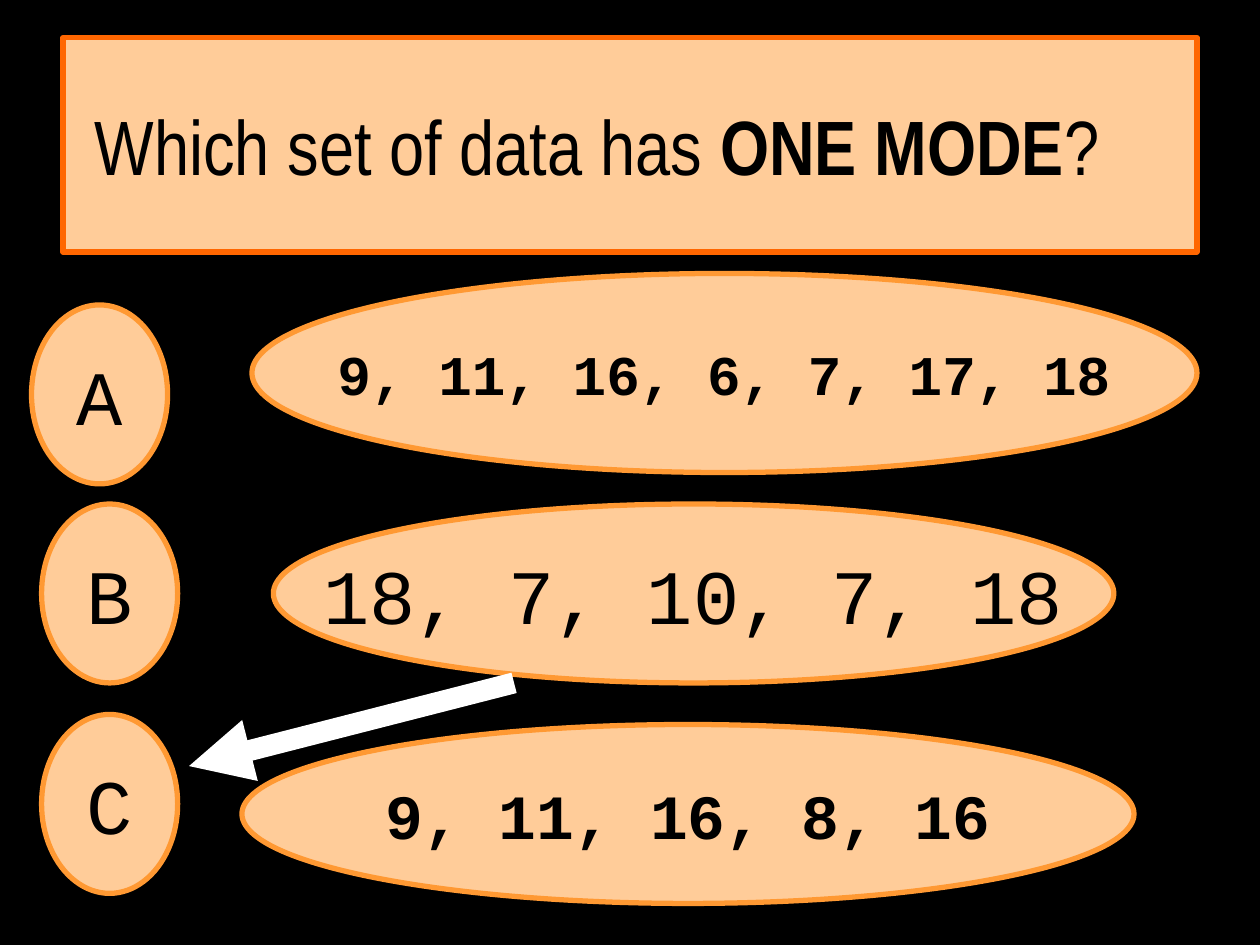
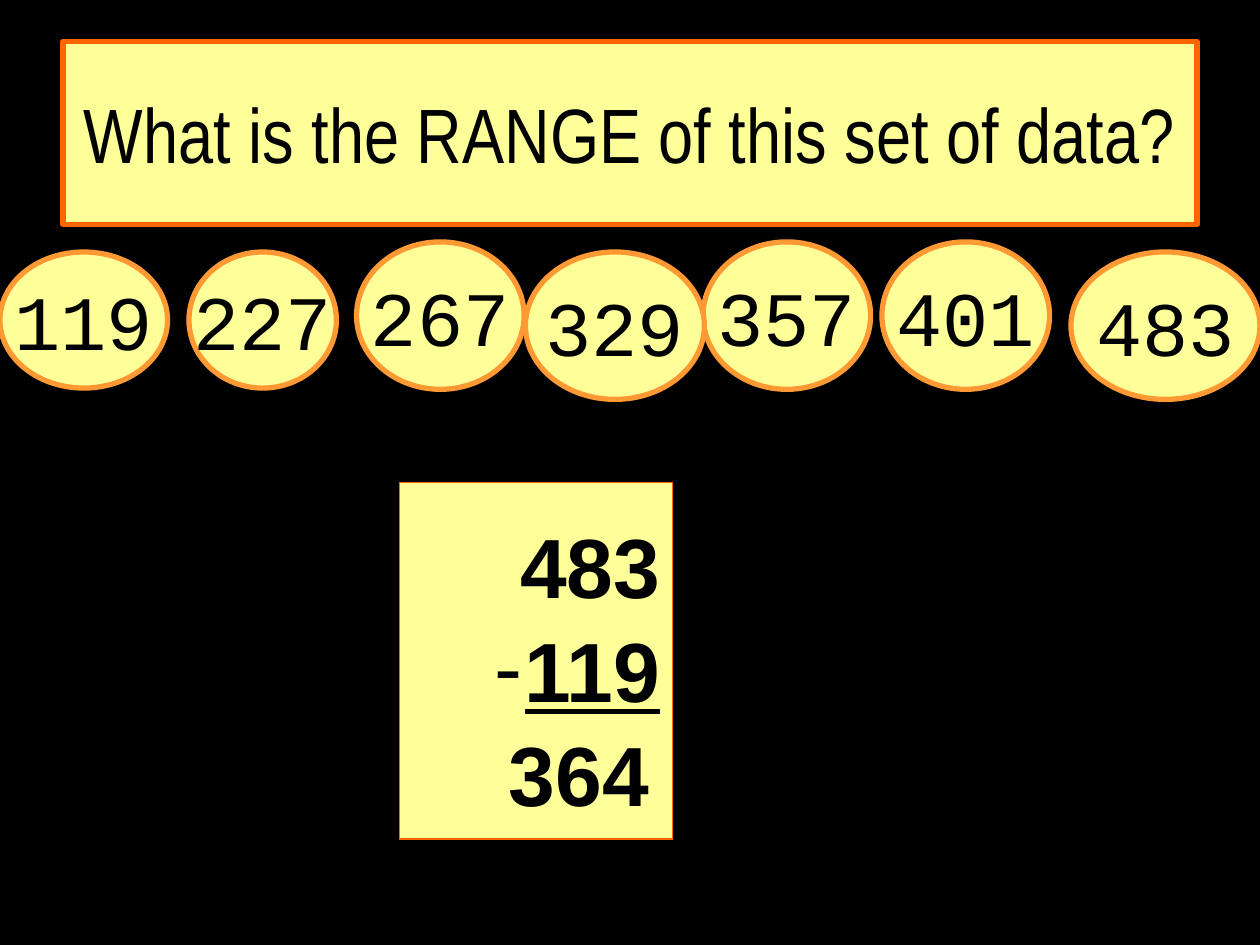
from lxml.etree import SubElement
from pptx import Presentation
from pptx.dml.color import RGBColor
from pptx.enum.shapes import MSO_CONNECTOR, MSO_SHAPE
from pptx.enum.text import MSO_ANCHOR, PP_ALIGN
from pptx.oxml.ns import qn
from pptx.util import Inches, Pt

COLORS = {
    "background": "000000",
    "text": "000000",
    "peach": "FFCC99",
    "yellow": "FFFF99",
    "frame": "FF6600",
    "oval_edge": "FF9933",
    "arrow": "FFFFFF",
}
TITLE_FONT, DATA_FONT, SUM_FONT = "Arial Narrow", "Courier New", "Arial"


def add_panel(slide, kind, box, fill, edge, edge_width, wrap=False):
    panel = slide.shapes.add_shape(kind, *[Inches(length) for length in box])
    panel.shadow.inherit = False
    panel.fill.solid()
    panel.fill.fore_color.rgb = RGBColor.from_string(COLORS[fill])
    panel.line.color.rgb = RGBColor.from_string(COLORS[edge])
    panel.line.width = Pt(edge_width)
    panel.text_frame.word_wrap = wrap
    panel.text_frame.vertical_anchor = MSO_ANCHOR.MIDDLE
    return panel


def write(paragraph, pieces, font, size, align=PP_ALIGN.CENTER):
    paragraph.alignment = align
    for text, bold in pieces:
        run = paragraph.add_run()
        run.text = text
        run.font.name = font
        run.font.size = Pt(size)
        run.font.bold = bold
        run.font.color.rgb = RGBColor.from_string(COLORS["text"])


prs = Presentation()
prs.slide_width, prs.slide_height = Inches(10), Inches(7.5)

questions = [
    {
        "fill": "peach",
        "title_box": (0.5, 0.3, 9, 1.7),
        "title": [("Which set of data has ", False), ("ONE MODE", True), ("?", False)],
        "title_right_inset": 0.62,
        "ovals": [
            ("9, 11, 16, 8, 16", (1.92, 5.75, 7.08, 1.42), 36, True),
            ("9, 11, 16, 6, 7, 17, 18", (2, 2.17, 7.5, 1.58), 32, True),
            ("18, 7, 10, 7, 18", (2.17, 4, 6.67, 1.42), 44, False),
            ("A", (0.25, 2.42, 1.08, 1.42), 44, False),
            ("C", (0.33, 5.67, 1.08, 1.42), 44, False),
            ("B", (0.33, 4, 1.08, 1.42), 44, False),
        ],
    },
    {
        "fill": "yellow",
        "title_box": (0.5, 0.33, 9, 1.45),
        "title": [("What is the RANGE of this set of data?", False)],
        "title_right_inset": 0.1,
        "ovals": [
            ("267", (2.83, 1.92, 1.33, 1.17), 44, False),
            ("119", (0, 2, 1.33, 1.08), 44, False),
            ("357", (5.58, 1.92, 1.33, 1.17), 44, False),
            ("401", (7, 1.92, 1.33, 1.17), 44, False),
            ("329", (4.17, 2, 1.42, 1.17), 44, False),
            ("483", (8.5, 2, 1.5, 1.17), 44, False),
            ("227", (1.5, 2, 1.17, 1.08), 44, False),
        ],
    },
]

slides = []
for question in questions:
    slide = prs.slides.add_slide(prs.slide_layouts[6])
    slides.append(slide)
    slide.background.fill.solid()
    slide.background.fill.fore_color.rgb = RGBColor.from_string(COLORS["background"])

    title = add_panel(slide, MSO_SHAPE.RECTANGLE, question["title_box"],
                      question["fill"], "frame", 3, wrap=True)
    title.text_frame.margin_right = Inches(question["title_right_inset"])
    write(title.text_frame.paragraphs[0], question["title"], TITLE_FONT, 44)

    for text, box, size, bold in question["ovals"]:
        oval = add_panel(slide, MSO_SHAPE.OVAL, box, question["fill"], "oval_edge", 3)
        write(oval.text_frame.paragraphs[0], [(text, bold)], DATA_FONT, size)

mode_slide, range_slide = slides

answer_arrow = mode_slide.shapes.add_connector(
    MSO_CONNECTOR.STRAIGHT, Inches(4.08), Inches(5.42), Inches(1.5), Inches(6.08))
answer_arrow.line.color.rgb = RGBColor.from_string(COLORS["arrow"])
answer_arrow.line.width = Pt(12)
SubElement(answer_arrow.line._get_or_add_ln(), qn("a:tailEnd"), type="triangle")
SubElement(answer_arrow._element.spPr, qn("a:effectLst"))

subtraction = add_panel(range_slide, MSO_SHAPE.RECTANGLE, (3.17, 3.83, 2.17, 2.83),
                        "yellow", "frame", 0.75, wrap=True)
subtraction.text_frame.vertical_anchor = MSO_ANCHOR.TOP
subtraction.text_frame.margin_top = Inches(0.25)
largest = subtraction.text_frame.paragraphs[0]
write(largest, [("483", True)], SUM_FONT, 48, PP_ALIGN.RIGHT)

smallest = subtraction.text_frame.add_paragraph()
indent = Inches(0.24)
minus = smallest._p.get_or_add_pPr()
minus.set("marL", str(indent))
minus.set("indent", str(-indent))
SubElement(minus, qn("a:buFont"), typeface=SUM_FONT)
SubElement(minus, qn("a:buChar"), char="-")
smallest.space_before = Pt(2)
write(smallest, [("119", True)], SUM_FONT, 48, PP_ALIGN.RIGHT)
smallest.runs[0].font.underline = True

difference = add_panel(range_slide, MSO_SHAPE.RECTANGLE, (3.83, 5.67, 1.42, 0.92),
                       "yellow", "yellow", 0.75, wrap=True)
write(difference.text_frame.paragraphs[0], [("364", True)], SUM_FONT, 48, PP_ALIGN.RIGHT)

prs.save("out.pptx")
